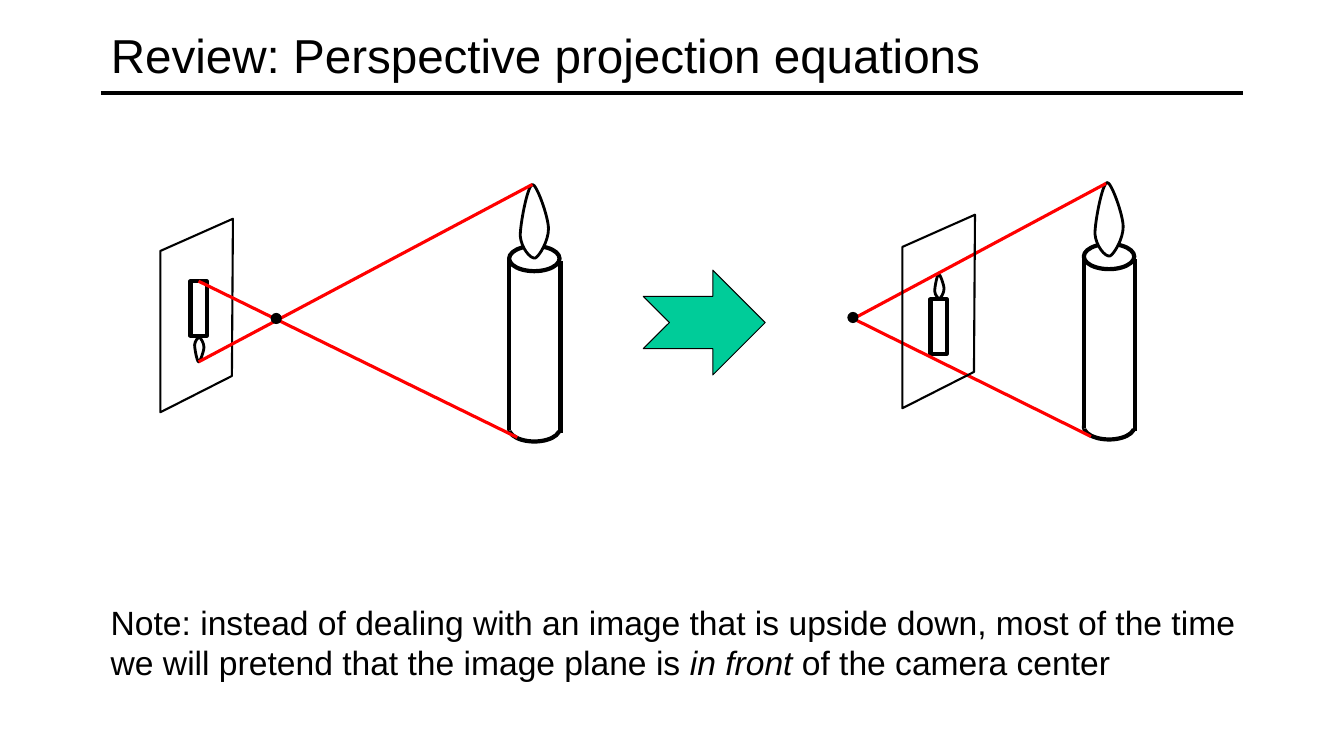
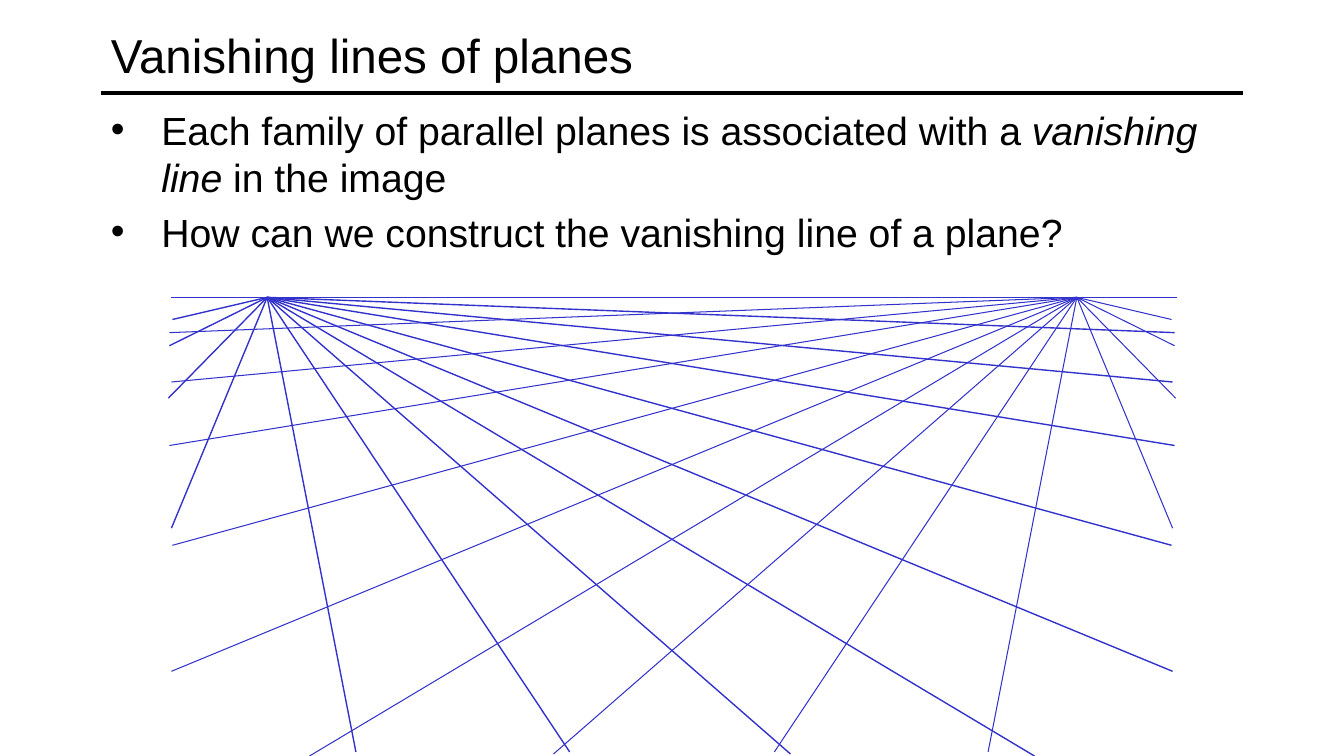
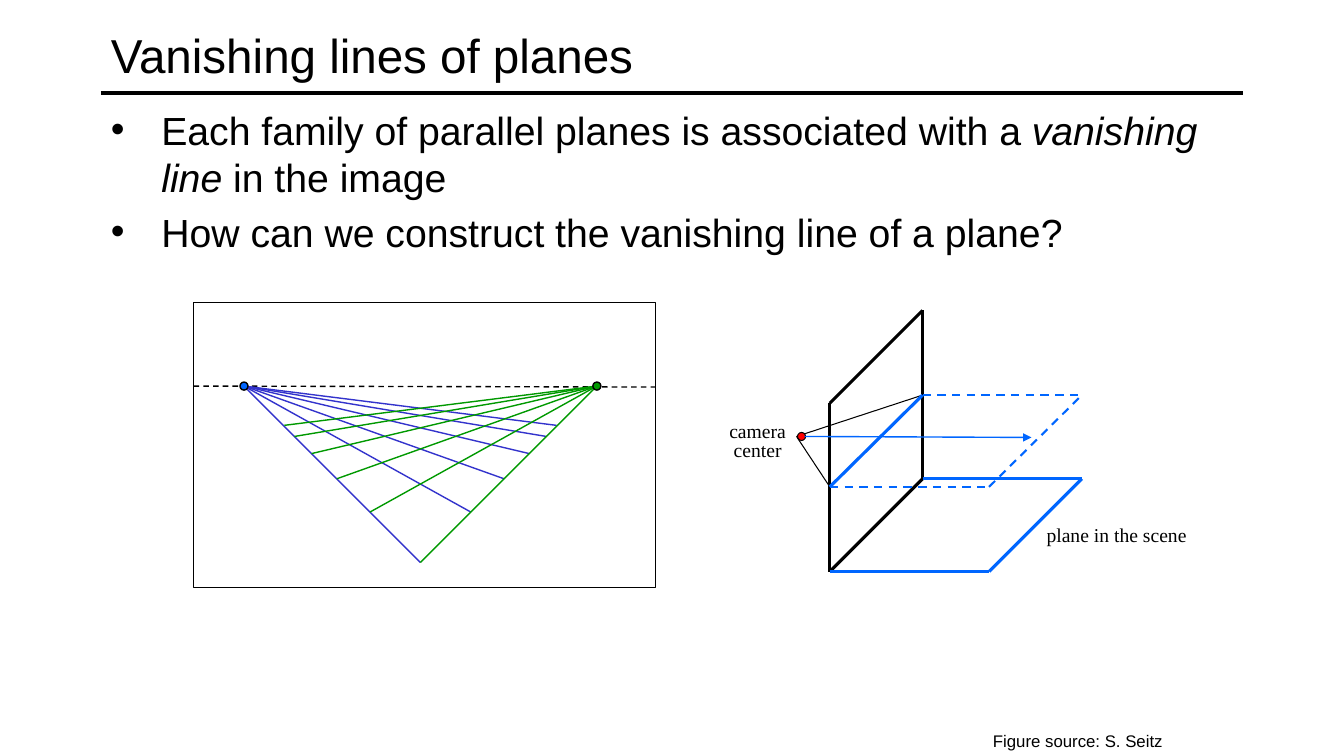
"""Builds three slides on perspective projection and vanishing lines."""
from dataclasses import dataclass
from typing import Optional

from lxml import etree
from pptx import Presentation
from pptx import util as u
from pptx.dml.color import RGBColor
from pptx.enum import dml, shapes, text
from pptx.oxml import ns

BLACK = RGBColor(0, 0, 0)
WHITE = RGBColor(255, 255, 255)
RED = RGBColor(255, 0, 0)
TEAL = RGBColor(0, 0xCC, 0x99)
INDIGO = RGBColor(0x33, 0x33, 0xCC)
GREEN = RGBColor(0, 0x99, 0)
BLUE = RGBColor(0, 0x66, 0xFF)

COLS, ROWS = 13.33, 7.5
CELL = u.Inches(1)
LEFT, SPAN, HEAD = 1, 11.33, 0.92
SANS, SERIF = "Arial", "Times New Roman"
KIND = shapes.MSO_SHAPE

TOPIC = "Vanishing lines of planes"
POINTS = [
    "Each family of parallel planes is associated with a *vanishing line *in the image",
    "How can we construct the vanishing line of a plane?",
]
NOTE = ("Note: instead of dealing with an image that is upside down, most of the time "
        "we will pretend that the image plane is *in front* of the camera center")

FLAME = [
    (0, 0),
    (-0.05, 0.02), (-0.12, 0.39), (-0.12, 0.51),
    (-0.11, 0.63), (-0.02, 0.74), (0.03, 0.73),
    (0.07, 0.71), (0.16, 0.56), (0.16, 0.44),
    (0.16, 0.32), (0.04, -0.01), (0, 0),
]
PANE = [(0, 0), (0.72, -0.32), (0.71, 1.24), (0, 1.6)]
FLOOR = [
    (11.63, 6.66), (10.26, 7.5), (7.84, 7.48), (5.65, 7.46), (3.53, 7.46),
    (1.7, 5.24), (1.67, 3.95), (1.68, 3.43), (1.71, 3.17), (11.62, 5.41),
    (11.65, 4.42), (11.63, 3.79), (11.65, 3.3),
]
WEDGE = [(4.17, 5.58), (4.67, 5.08), (5, 4.75), (5.25, 4.5), (5.42, 4.33), (5.52, 4.22)]


@dataclass
class Ray:
    start: tuple
    end: tuple
    color: RGBColor = BLACK
    width: float = 2.25
    dash: bool = False
    arrow: bool = False


def grid(n: float) -> int:
    return round(n * CELL)


def place(shape, left: float, top: float, width: float, height: float) -> None:
    shape.left, shape.top = grid(left), grid(top)
    shape.width, shape.height = grid(width), grid(height)


def write(frame, paras: list, size: float = 14, font: str = SANS, align=None,
          bullet: bool = False, gap: float = 0, lead: Optional[float] = None) -> None:
    for i, words in enumerate(paras):
        para = frame.paragraphs[0] if i == 0 else frame.add_paragraph()
        if bullet:
            props = para._p.get_or_add_pPr()
            props.set("marL", str(grid(0.5)))
            props.set("indent", str(grid(-0.5)))
            etree.SubElement(props, ns.qn("a:buChar")).set("char", "•")
        para.alignment = align
        para.space_before = u.Pt(gap if i else 0)
        if lead and i:
            para.line_spacing = lead
        for j, part in enumerate(words.split("*")):
            run = para.add_run()
            run.text = part
            run.font.size = u.Pt(size)
            run.font.name = font
            run.font.color.rgb = BLACK
            run.font.italic = j % 2 == 1


def label(slide, box: tuple, paras: list, wrap: bool = False, **style) -> None:
    frame = slide.shapes.add_textbox(*map(grid, box)).text_frame
    frame.word_wrap = wrap
    frame.auto_size = text.MSO_AUTO_SIZE.SHAPE_TO_FIT_TEXT
    write(frame, paras, **style)


def paint(shape, fill: Optional[RGBColor], width: float) -> None:
    shape.shadow.inherit = False
    if fill is None:
        shape.fill.background()
    else:
        shape.fill.solid()
        shape.fill.fore_color.rgb = fill
    if width:
        shape.line.color.rgb = BLACK
        shape.line.width = u.Pt(width)
    else:
        shape.line.fill.background()


def form(slide, kind, box: tuple, fill: Optional[RGBColor] = WHITE, width: float = 3):
    shape = slide.shapes.add_shape(kind, *map(grid, box))
    paint(shape, fill, width)
    return shape


def trace(slide, points: list, fill: Optional[RGBColor], width: float):
    spots = [(grid(x), grid(y)) for x, y in points]
    pen = slide.shapes.build_freeform(*spots[0])
    pen.add_line_segments(spots[1:], close=True)
    shape = pen.convert_to_shape()
    paint(shape, fill, width)
    return shape


def bend(shape) -> None:
    legs = list(shape._element.iter(ns.qn("a:lnTo")))
    for i in range(0, len(legs) - 2, 3):
        curve = etree.Element(ns.qn("a:cubicBezTo"))
        legs[i].addprevious(curve)
        for leg in legs[i:i + 3]:
            curve.append(leg[0])
            leg.getparent().remove(leg)


def draw(slide, ray: Ray):
    line = slide.shapes.add_connector(
        shapes.MSO_CONNECTOR.STRAIGHT, *map(grid, ray.start + ray.end))
    line.line.color.rgb = ray.color
    line.line.width = u.Pt(ray.width)
    if ray.dash:
        line.line.dash_style = dml.MSO_LINE.DASH
    if ray.arrow:
        etree.SubElement(line.line._get_or_add_ln(), ns.qn("a:tailEnd")).set("type", "triangle")
    etree.SubElement(line._element.spPr, ns.qn("a:effectLst"))
    return line


def start(deck, layout: int, title: str):
    slide = deck.slides.add_slide(deck.slide_layouts[layout])
    place(slide.shapes.title, LEFT, 0.08, SPAN, HEAD)
    frame = slide.shapes.title.text_frame
    frame.auto_size = text.MSO_AUTO_SIZE.NONE
    frame.vertical_anchor = text.MSO_ANCHOR.MIDDLE
    write(frame, [title], size=34, align=text.PP_ALIGN.LEFT)
    return slide


def share(deck, slide) -> None:
    rule = draw(slide, Ray((LEFT, HEAD), (LEFT + SPAN, HEAD), width=3))
    deck.slide_master.shapes._spTree.append(rule._element)


def topic(deck):
    slide = start(deck, 1, TOPIC)
    body = slide.placeholders[1]
    place(body, LEFT, 1, SPAN, 5.75)
    body.text_frame.auto_size = text.MSO_AUTO_SIZE.NONE
    write(body.text_frame, POINTS, size=28, bullet=True, gap=5.6)
    return slide


def flame(slide, x: float, y: float, wide: float = 1, high: float = 1) -> None:
    bend(trace(slide, [(x + wide * p, y + high * q) for p, q in FLAME], WHITE, 2))


def candle(slide, x: float, y: float) -> None:
    form(slide, KIND.OVAL, (x, y + 1.69, 0.5, 0.25))
    form(slide, KIND.RECTANGLE, (x, y + 0.16, 0.5, 1.67), width=0)
    form(slide, KIND.OVAL, (x, y, 0.5, 0.25))
    for side, top in ((x, y + 0.12), (x + 0.51, y + 0.15)):
        draw(slide, Ray((side, top), (side, top + 1.71), width=3))
    flame(slide, x + 0.23, y - 0.61)


def image(slide, x: float, y: float, tip: float, down: bool) -> None:
    stick = form(slide, KIND.RECTANGLE, (x, y, 0.16, 0.54))
    flame(slide, x + 0.08, tip, 0.33, -0.33 if down else 0.33)
    edge = y + 0.54 if down else y
    wick = draw(slide, Ray((x + 0.08, edge), (x + 0.08, edge + (0.02 if down else -0.02)), width=3))
    wick.begin_connect(stick, 2 if down else 0)


def pane(slide, x: float, y: float) -> None:
    trace(slide, [(x + p, y + q) for p, q in PANE], None, 1.5)


def dot(slide, x: float, y: float, size: float, fill: RGBColor, width: float) -> None:
    form(slide, KIND.OVAL, (x - size / 2, y - size / 2, size, size), fill, width)


def fan(slide, apex: tuple, ends: list, color: RGBColor, width: float,
        flip: Optional[float] = None) -> None:
    def turn(spot: tuple) -> tuple:
        return spot if flip is None else (flip - spot[0], spot[1])

    for end in ends:
        draw(slide, Ray(turn(apex), turn(end), color, width))


def review(deck) -> None:
    slide = start(deck, 5, "Review: Perspective projection equations")
    share(deck, slide)
    label(slide, (LEFT, 5.92, 11.5, 0.91), [NOTE], wrap=True, size=24)
    pane(slide, 1.59, 2.49)
    image(slide, 1.89, 2.79, 3.59, True)
    candle(slide, 5.05, 2.44)
    fan(slide, (1.97, 3.59), [(5.28, 1.83)], RED, 2.25)
    fan(slide, (1.97, 2.79), [(5.13, 4.34)], RED, 2.25)
    dot(slide, 2.74, 3.16, 0.1, BLACK, 0.75)
    image(slide, 9.23, 2.97, 2.72, False)
    candle(slide, 10.75, 2.42)
    draw(slide, Ray((10.97, 1.82), (8.43, 3.18), RED))
    draw(slide, Ray((10.82, 4.33), (8.5, 3.18), RED))
    dot(slide, 8.46, 3.15, 0.1, BLACK, 0.75)
    pane(slide, 8.95, 2.45)
    form(slide, KIND.NOTCHED_RIGHT_ARROW, (6.38, 2.68, 1.21, 1.04), TEAL, 0.75)


def floor(deck) -> None:
    slide = topic(deck)
    apex = (2.65, 2.95)
    fan(slide, apex, FLOOR, INDIGO, 1)
    fan(slide, apex, FLOOR, INDIGO, 0.75, flip=COLS)
    draw(slide, Ray((1.7, 2.95), (11.67, 2.95), INDIGO, 1))


def scene(deck) -> None:
    slide = topic(deck)
    form(slide, KIND.RECTANGLE, (1.92, 3, 4.58, 2.83), None, 0.75)
    draw(slide, Ray((1.92, 3.83), (6.5, 3.84), width=1, dash=True))
    apex, flip = (2.42, 3.83), 8.34
    fan(slide, apex, WEDGE, INDIGO, 1)
    fan(slide, apex, WEDGE, GREEN, 1, flip)
    dot(slide, flip - apex[0], apex[1], 0.08, GREEN, 1)
    dot(slide, *apex, 0.08, BLUE, 1)

    near, far, deep = 8.23, 9.15, 1.58
    eye = (7.9, 4.33)
    fan(slide, eye, [(far, 3.92), (near, 4.83)], BLACK, 0.75)
    for ray in (
        Ray((far, 3.08), (far, 4.75)),
        Ray((near, 4), (near, 5.67)),
        Ray((near, 5.67), (far, 4.75)),
        Ray((near, 4), (far, 3.08)),
    ):
        draw(slide, ray)
    dot(slide, 7.95, 4.33, 0.08, RED, 0.75)
    draw(slide, Ray((near, 4.83), (far, 3.92), BLUE))
    for low, high, width, dash in ((5.67, 4.75, 2.25, False), (4.83, 3.92, 1.5, True)):
        front, back = (near + deep, low), (far + deep, high)
        draw(slide, Ray((near, low), front, BLUE, width, dash))
        draw(slide, Ray((far, high), back, BLUE, width, dash))
        draw(slide, Ray(front, back, BLUE, width, dash))
    draw(slide, Ray((7.98, 4.33), (10.23, 4.34), BLUE, 1, arrow=True))
    mid = text.PP_ALIGN.CENTER
    label(slide, (7.13, 4.11, 0.77, 0.53), ["camera", "center"], font=SERIF, align=mid, lead=0.8)
    label(slide, (10.27, 5.14, 1.61, 0.34), ["plane in the scene"], font=SERIF, align=mid)
    label(slide, (9.75, 7.2, 1.9, 0.3), ["Figure source: S. Seitz"], size=12)


def main() -> None:
    deck = Presentation()
    deck.slide_width, deck.slide_height = grid(COLS), grid(ROWS)
    review(deck)
    floor(deck)
    scene(deck)
    deck.save("out.pptx")


if __name__ == "__main__":
    main()
